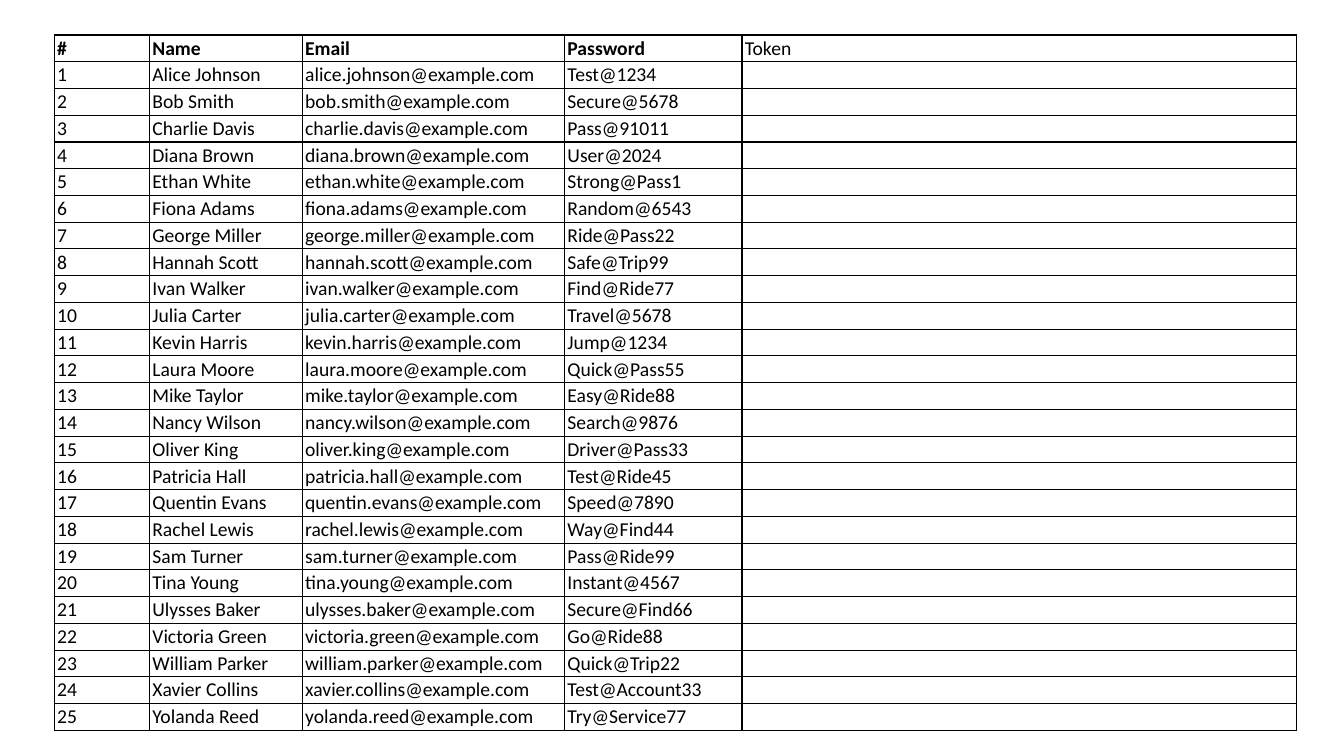
import pptx
import pptx.util
import pptx.enum.text
import pptx.dml.color
import pptx.oxml
import pptx.oxml.ns
from lxml import etree

Cm = pptx.util.Cm

# Content
HEAD = ("#", "Name", "Email", "Password", "Token")
USERS = [
    ("Alice Johnson", "Test@1234"),
    ("Bob Smith", "Secure@5678"),
    ("Charlie Davis", "Pass@91011"),
    ("Diana Brown", "User@2024"),
    ("Ethan White", "Strong@Pass1"),
    ("Fiona Adams", "Random@6543"),
    ("George Miller", "Ride@Pass22"),
    ("Hannah Scott", "Safe@Trip99"),
    ("Ivan Walker", "Find@Ride77"),
    ("Julia Carter", "Travel@5678"),
    ("Kevin Harris", "Jump@1234"),
    ("Laura Moore", "Quick@Pass55"),
    ("Mike Taylor", "Easy@Ride88"),
    ("Nancy Wilson", "Search@9876"),
    ("Oliver King", "Driver@Pass33"),
    ("Patricia Hall", "Test@Ride45"),
    ("Quentin Evans", "Speed@7890"),
    ("Rachel Lewis", "Way@Find44"),
    ("Sam Turner", "Pass@Ride99"),
    ("Tina Young", "Instant@4567"),
    ("Ulysses Baker", "Secure@Find66"),
    ("Victoria Green", "Go@Ride88"),
    ("William Parker", "Quick@Trip22"),
    ("Xavier Collins", "Test@Account33"),
    ("Yolanda Reed", "Try@Service77"),
]
WIDTHS = (2.4, 3.85, 6.61, 4.47, 13.98)
LEFT, TOP, HEIGHT = 1.37, 0.88, 17.54
INK = "000000"


def paint(code):
    return pptx.dml.color.RGBColor.from_string(code)


def write(cell, text, size=14, bold=False, color=INK, font="Calibri"):
    para = cell.text_frame.paragraphs[0]
    if text:
        run = para.add_run()
        run.text = text
        run.font.name = font
        run.font.size = pptx.util.Pt(size)
        run.font.bold = bold
        run.font.color.rgb = paint(color)
    else:
        # An empty cell needs its own text size to keep the row low
        tag = pptx.oxml.ns.qn("a:endParaRPr")
        etree.SubElement(para._p, tag, sz=str(size * 100))


def frame(cell, color=INK, width=1):
    props = cell._tc.get_or_add_tcPr()
    space = pptx.oxml.ns.nsdecls("a")
    for spot, side in enumerate(("lnL", "lnR", "lnT", "lnB")):
        props.insert(spot, pptx.oxml.parse_xml(
            f'<a:{side} {space} w="{pptx.util.Pt(width)}"><a:solidFill>'
            f'<a:srgbClr val="{color}"/></a:solidFill></a:{side}>'))


# Slide
deck = pptx.Presentation()
deck.slide_width, deck.slide_height = Cm(33.87), Cm(19.05)
slide = deck.slides.add_slide(deck.slide_layouts[6])

# Each email follows from the name
rows = [HEAD]
for num, (name, word) in enumerate(USERS, 1):
    mail = name.lower().replace(" ", ".") + "@example.com"
    rows.append((str(num), name, mail, word, ""))

# Table
table = slide.shapes.add_table(
    len(rows), len(HEAD), Cm(LEFT), Cm(TOP), Cm(sum(WIDTHS)), Cm(HEIGHT)).table
table.first_row = table.horz_banding = False
for col, width in zip(table.columns, WIDTHS):
    col.width = Cm(width)

for r, row in enumerate(rows):
    table.rows[r].height = Cm(HEIGHT / len(rows))
    for c, text in enumerate(row):
        cell = table.cell(r, c)
        cell.margin_left = cell.margin_right = Cm(0.07)
        cell.margin_top = cell.margin_bottom = Cm(0.03)
        cell.vertical_anchor = pptx.enum.text.MSO_ANCHOR.MIDDLE
        cell.fill.background()
        write(cell, text, bold=r == 0 and text != "Token")
        frame(cell)

deck.save("out.pptx")
